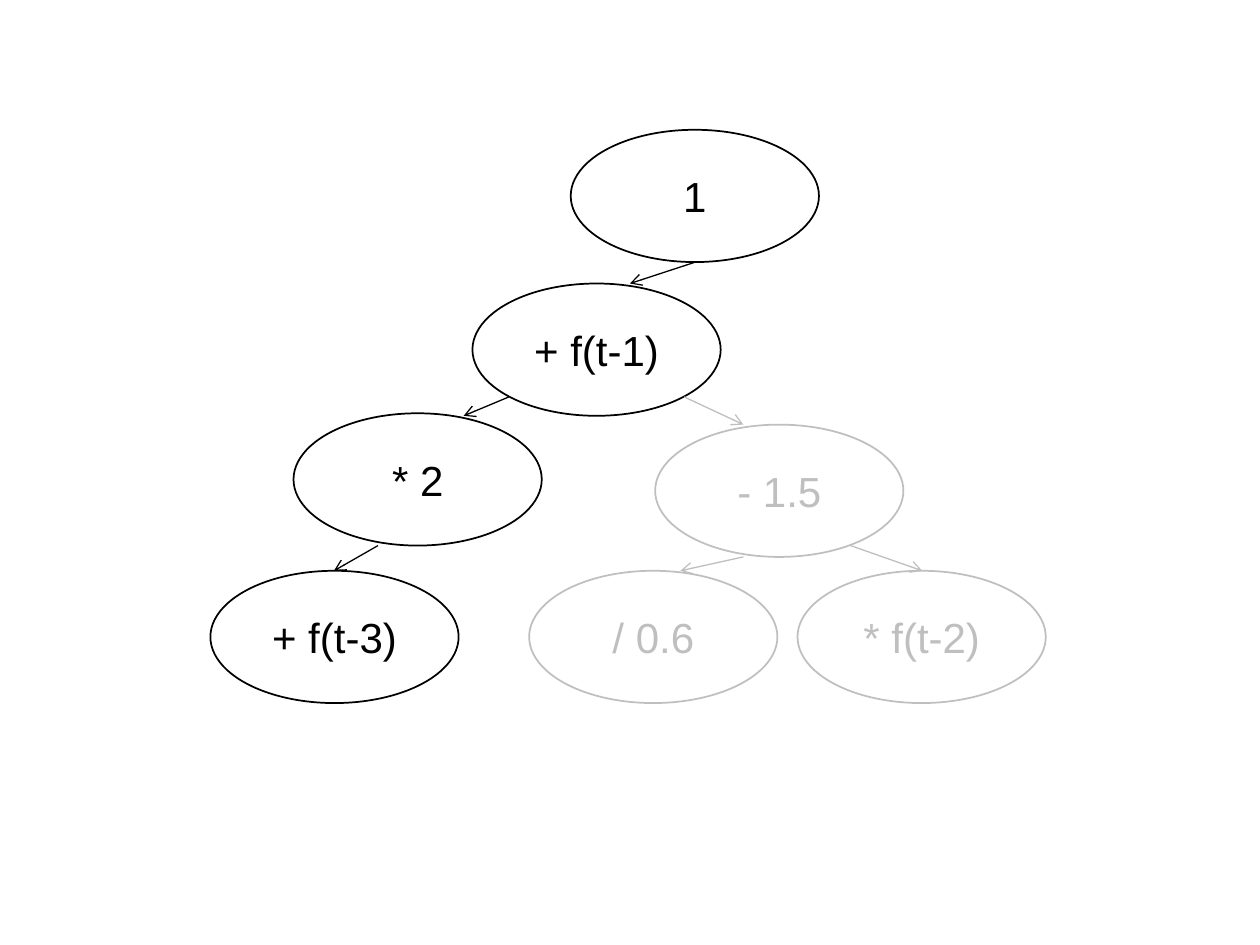
from lxml.etree import SubElement
from pptx import Presentation
from pptx.dml.color import RGBColor
from pptx.enum.shapes import MSO_CONNECTOR as Connector, MSO_SHAPE as Shape
from pptx.enum.text import MSO_ANCHOR as Anchor, PP_ALIGN as Align
from pptx.oxml.ns import qn
from pptx.util import Inches, Pt

ACTIVE, INACTIVE, WHITE = "000000", "BFBFBF", "FFFFFF"
NODE_WIDTH, NODE_HEIGHT = 1.97, 1.05
LABEL_WIDTH, LABEL_HEIGHT = 1.32, 0.52


def rgb(color):
    """Turn a hex string into a colour."""
    return RGBColor.from_string(color)


class TreeSlide:
    """Hold the style and the slide on which the tree is drawn."""

    font_name, font_size = "Arial", 24
    outline_width, arrow_width = 1, 0.75

    def __init__(self, slide):
        self.slide = slide

    def node(self, text, left, top, color):
        """Add an ellipse grouped with its centred label."""
        group = self.slide.shapes.add_group_shape()
        ellipse = group.shapes.add_shape(
            Shape.OVAL, Inches(left), Inches(top),
            Inches(NODE_WIDTH), Inches(NODE_HEIGHT))
        ellipse.shadow.inherit = False
        ellipse.fill.background()
        ellipse.line.color.rgb = rgb(color)
        ellipse.line.width = Pt(self.outline_width)
        self.label(group, text, left + (NODE_WIDTH - LABEL_WIDTH) / 2,
                   top + (NODE_HEIGHT - LABEL_HEIGHT) / 2, color)

    def label(self, group, text, left, top, color):
        """Add a white text rectangle to a node's group."""
        shape = group.shapes.add_shape(
            Shape.RECTANGLE, Inches(left), Inches(top),
            Inches(LABEL_WIDTH), Inches(LABEL_HEIGHT))
        shape.shadow.inherit = False
        shape.fill.solid()
        shape.fill.fore_color.rgb = rgb(WHITE)
        shape.line.fill.background()
        frame = shape.text_frame
        frame.word_wrap = True
        frame.vertical_anchor = Anchor.MIDDLE
        paragraph = frame.paragraphs[0]
        paragraph.text = text
        paragraph.alignment = Align.CENTER
        paragraph.font.name = self.font_name
        paragraph.font.size = Pt(self.font_size)
        paragraph.font.color.rgb = rgb(color)

    def arrow(self, start, end, color):
        """Add a thin line with an open arrowhead at its end."""
        connector = self.slide.shapes.add_connector(
            Connector.STRAIGHT, *map(Inches, start + end))
        connector.line.color.rgb = rgb(color)
        connector.line.width = Pt(self.arrow_width)
        SubElement(connector.line._get_or_add_ln(), qn("a:tailEnd"), type="arrow")
        SubElement(connector._element.spPr, qn("a:effectLst"))


NODES = [
    ("1", 4.53, 1.03, ACTIVE),
    ("+ f(t-1)", 3.75, 2.25, ACTIVE),
    ("* 2", 2.33, 3.28, ACTIVE),
    ("+ f(t-3)", 1.67, 4.53, ACTIVE),
    ("- 1.5", 5.2, 3.37, INACTIVE),
    ("/ 0.6", 4.2, 4.53, INACTIVE),
    ("* f(t-2)", 6.33, 4.53, INACTIVE),
]
ARROWS = [
    ((5.52, 2.08), (5, 2.25), ACTIVE),
    ((4.04, 3.15), (3.68, 3.3), ACTIVE),
    ((3, 4.33), (2.65, 4.53), ACTIVE),
    ((5.43, 3.15), (5.9, 3.37), INACTIVE),
    ((5.9, 4.42), (5.4, 4.53), INACTIVE),
    ((6.75, 4.33), (7.32, 4.53), INACTIVE),
]

presentation = Presentation()
presentation.slide_width, presentation.slide_height = Inches(10), Inches(7.5)
blank_layout = presentation.slide_layouts[6]
tree = TreeSlide(presentation.slides.add_slide(blank_layout))
for node in NODES:
    tree.node(*node)
for arrow in ARROWS:
    tree.arrow(*arrow)
presentation.save("out.pptx")
